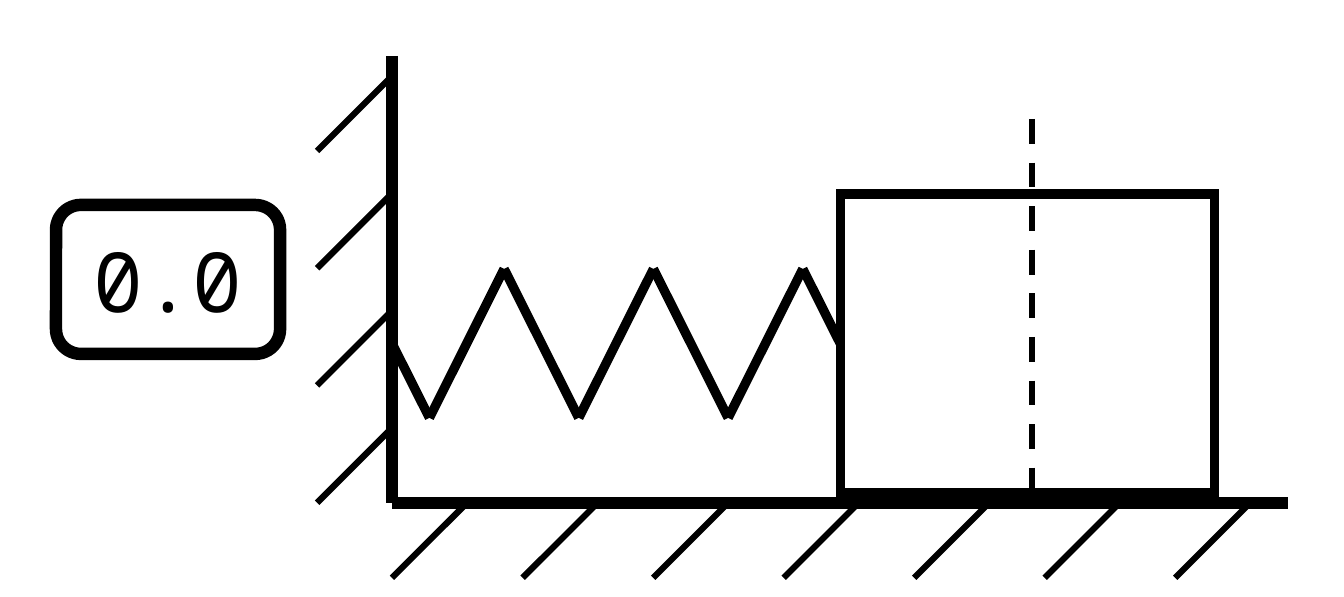
from lxml import etree
from pptx import Presentation
from pptx.dml.color import RGBColor
from pptx.enum.dml import MSO_LINE
from pptx.enum.shapes import MSO_CONNECTOR, MSO_SHAPE
from pptx.enum.text import MSO_ANCHOR, PP_ALIGN
from pptx.oxml.ns import qn
from pptx.util import Inches, Pt

SCALE = 914400 / 149.3
BLACK = RGBColor(0, 0, 0)
WHITE = RGBColor(255, 255, 255)
DASH = MSO_LINE.DASH
STRAIGHT = MSO_CONNECTOR.STRAIGHT
RECT = MSO_SHAPE.RECTANGLE
ROUND = MSO_SHAPE.ROUNDED_RECTANGLE
MIDDLE = MSO_ANCHOR.MIDDLE
CENTER = PP_ALIGN.CENTER
FONT = "Noto Sans Mono"
THIN, MEDIUM, THICK = 3, 4.5, 6


def emu(*pixels):
    return [round(p * SCALE) for p in pixels]


def add_line(slide, start, end, weight, dash=None):
    line = slide.shapes.add_connector(STRAIGHT, *emu(*start, *end))
    line.line.color.rgb = BLACK
    line.line.width = Pt(weight)
    if dash is not None:
        line.line.dash_style = dash
    etree.SubElement(line._element.spPr, qn("a:effectLst"))


def add_frame(slide, kind, box, weight):
    frame = slide.shapes.add_shape(kind, *emu(*box))
    frame.shadow.inherit = False
    frame.fill.background()
    frame.line.color.rgb = BLACK
    frame.line.width = Pt(weight)
    return frame


def draw_spring(slide, box, teeth):
    left, top, width, height = box
    step = width / teeth
    points = [(left, top + height / 2)]
    for i in range(teeth):
        points.append((left + step * (i + 0.5), top if i % 2 else top + height))
    points.append((left + width, top + height / 2))
    for start, end in zip(points, points[1:]):
        add_line(slide, start, end, MEDIUM)


def draw_block(slide, box, axis, rise):
    left, top, width, height = box
    block = add_frame(slide, RECT, box, MEDIUM)
    etree.SubElement(block.line._get_or_add_ln(), qn("a:miter"), lim="800000")
    add_line(slide, (left + axis, top - rise), (left + axis, top + height), THIN, DASH)


def draw_hatch(slide, left, bottom, size):
    add_line(slide, (left, bottom), (left + size, bottom - size), THIN)


def draw_wall(slide, box, count, gap):
    left, top, width, height = box
    right, bottom = left + width, top + height
    add_line(slide, (right, top), (right, bottom), THICK)
    for i in range(count):
        draw_hatch(slide, left, bottom - i * gap, width)


def draw_floor(slide, box, count, gap):
    left, top, width, height = box
    add_line(slide, (left, top), (left + width, top), THICK)
    for i in range(count):
        draw_hatch(slide, left + i * gap, top + height, height)


def draw_meter(slide, box, value):
    meter = add_frame(slide, ROUND, box, THICK)
    meter.fill.solid()
    meter.fill.fore_color.rgb = WHITE
    frame = meter.text_frame
    frame.vertical_anchor = MIDDLE
    para = frame.paragraphs[0]
    para.alignment = CENTER
    run = para.add_run()
    run.text = value
    run.font.name = FONT
    run.font.size = Pt(40)
    run.font.color.rgb = BLACK


deck = Presentation()
deck.slide_width = Inches(9)
deck.slide_height = Inches(4)
slide = deck.slides.add_slide(deck.slide_layouts[6])
draw_spring(slide, (392, 269, 448, 149), 6)
draw_block(slide, (840, 194, 374, 299), 192, 75)
draw_wall(slide, (317, 56, 75, 447), 4, 117.3)
draw_floor(slide, (392, 503, 896, 75), 7, 130.5)
draw_meter(slide, (56, 205, 224, 149), "0.0")
deck.save("out.pptx")
